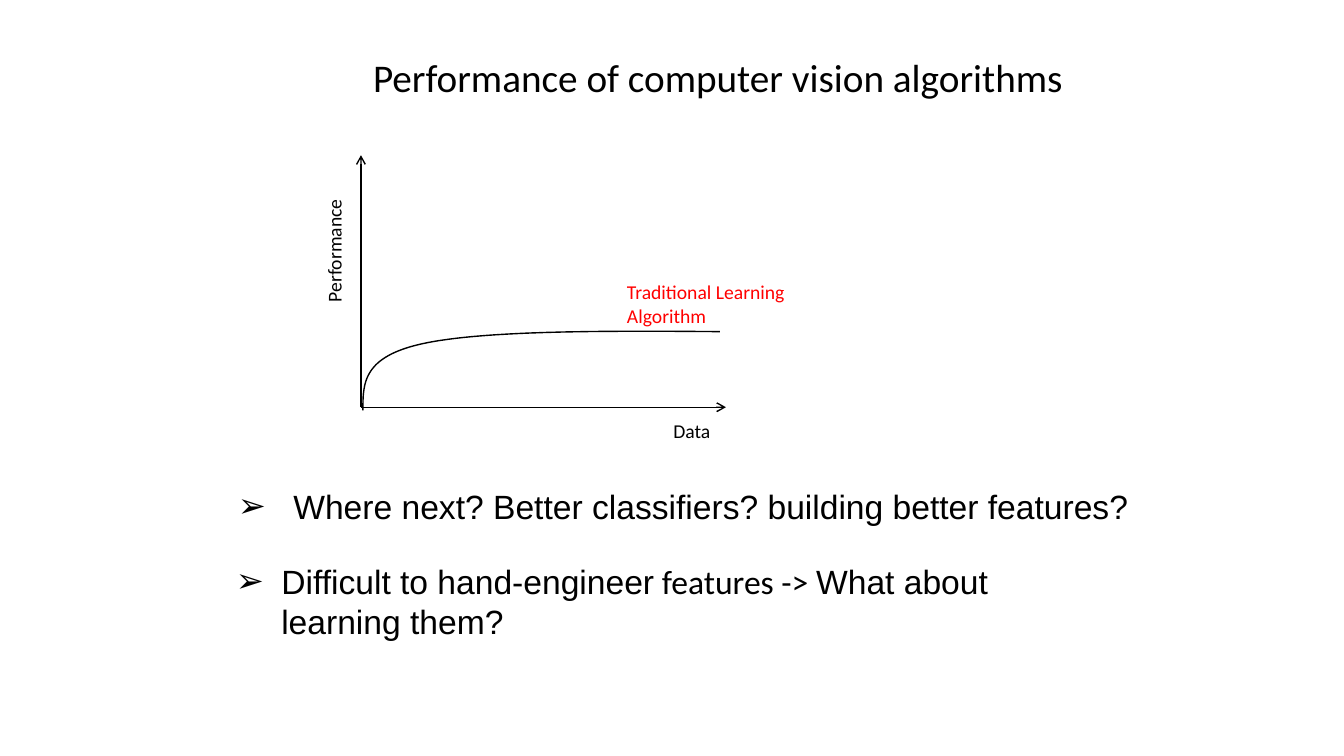
from lxml.etree import SubElement
from pptx import Presentation
from pptx.dml.color import RGBColor
from pptx.enum.shapes import MSO_CONNECTOR
from pptx.enum.text import MSO_ANCHOR, MSO_AUTO_SIZE, PP_ALIGN
from pptx.oxml.ns import qn
from pptx.util import Emu, Pt

PX = 9144
BLACK = RGBColor(0, 0, 0)
RED = RGBColor(255, 0, 0)
TITLE_ONLY = 5
CURVE_STEPS = 60


def px(length):
    """Turn px into EMU."""
    return Emu(round(length * PX))


def add_run(paragraph, text, size, font, color=BLACK):
    """Add one formatted run to a paragraph."""
    run = paragraph.add_run()
    run.text = text
    run.font.size = Pt(size)
    run.font.name = font
    run.font.color.rgb = color


def add_label(shapes, box, text, color=BLACK, wrap=False, rotation=0):
    """Place a small chart label in a box."""
    label = shapes.add_textbox(*map(px, box))
    label.rotation = rotation
    label.text_frame.word_wrap = wrap
    add_run(label.text_frame.paragraphs[0], text, 14, "Calibri", color)


def add_axis(shapes, start, end):
    """Draw an axis with an open arrowhead at its end."""
    axis = shapes.add_connector(MSO_CONNECTOR.STRAIGHT, *map(px, start + end))
    axis.line.color.rgb = BLACK
    axis.line.width = Pt(1)
    SubElement(axis.line._get_or_add_ln(), qn("a:tailEnd"), type="arrow")
    SubElement(axis._element.spPr, qn("a:effectLst"))


def bezier(points, t):
    """Give the point of a cubic curve at t."""
    weights = ((1 - t) ** 3, 3 * t * (1 - t) ** 2, 3 * t ** 2 * (1 - t), t ** 3)
    return tuple(sum(w * p[axis] for w, p in zip(weights, points)) for axis in (0, 1))


def add_performance_curve(shapes, left, top):
    """Draw the curve that rises steeply and then levels off."""
    rise = [(0, 79), (0, 52), (0, 26), (59, 13)]
    plateau = [(59, 13), (118, 0), (236, 0), (354, 1)]
    points = [
        (px(left + x), px(top + y))
        for part in (rise, plateau)
        for x, y in (bezier(part, step / CURVE_STEPS) for step in range(CURVE_STEPS + 1))
    ]
    builder = shapes.build_freeform(*points[0], scale=1.0)
    builder.add_line_segments(points[1:], close=False)
    curve = builder.convert_to_shape()
    curve.shadow.inherit = False
    curve.fill.background()
    curve.line.color.rgb = BLACK
    curve.line.width = Pt(1)


def add_diagram(slide, left, top, width, height):
    """Draw performance against data with labelled axes."""
    shapes = slide.shapes.add_group_shape().shapes
    bottom = top + height
    add_axis(shapes, (left, bottom), (left, top))
    add_axis(shapes, (left, bottom), (left + width, bottom))
    add_performance_curve(shapes, left + 2, top + 174)
    add_label(shapes, (left + 254, top + 119, 214, 57),
              "Traditional Learning Algorithm", RED, wrap=True)
    add_label(shapes, (left + 300, bottom + 7, 57, 34), "Data")
    add_label(shapes, (left - 88, top + 77, 123, 34), "Performance", rotation=270)


def add_title(slide, left, top, width, height):
    """Place the slide title."""
    title = slide.shapes.title
    title.left, title.top, title.width, title.height = map(px, (left, top, width, height))
    frame = title.text_frame
    frame.auto_size = MSO_AUTO_SIZE.NONE
    frame.vertical_anchor = MSO_ANCHOR.MIDDLE
    heading = frame.paragraphs[0]
    heading.alignment = PP_ALIGN.LEFT
    heading.line_spacing = 0.9
    add_run(heading, "Performance of computer vision algorithms", 28, "Calibri")


def add_question(slide, left, top, width, height, indent, parts):
    """Place a bulleted question built from (text, font) parts."""
    frame = slide.shapes.add_textbox(*map(px, (left, top, width, height))).text_frame
    frame.word_wrap = True
    frame.margin_left = frame.margin_right = frame.margin_top = frame.margin_bottom = 0
    question = frame.paragraphs[0]
    properties = question._p.get_or_add_pPr()
    properties.set("marL", str(px(indent)))
    properties.set("indent", str(-px(indent)))
    SubElement(properties, qn("a:buFont"), typeface="Arial")
    SubElement(properties, qn("a:buChar"), char="➢")
    for text, font in parts:
        add_run(question, text, 24, font)


def main():
    """Build and save the slide."""
    deck = Presentation()
    deck.slide_width, deck.slide_height = px(1333), px(750)
    slide = deck.slides.add_slide(deck.slide_layouts[TITLE_ONLY])
    add_title(slide, 360, 21, 787, 116)
    add_diagram(slide, 358, 154, 362, 250)
    add_question(slide, 236, 482, 920, 40, 55, [
        ("Where next? Better classifiers? building better features?", "Arial"),
    ])
    add_question(slide, 234, 556, 800, 81, 45, [
        ("Difficult to hand-engineer", "Arial"),
        (" features -> ", "Calibri"),
        ("What about learning them?", "Arial"),
    ])
    deck.save("out.pptx")


if __name__ == "__main__":
    main()
